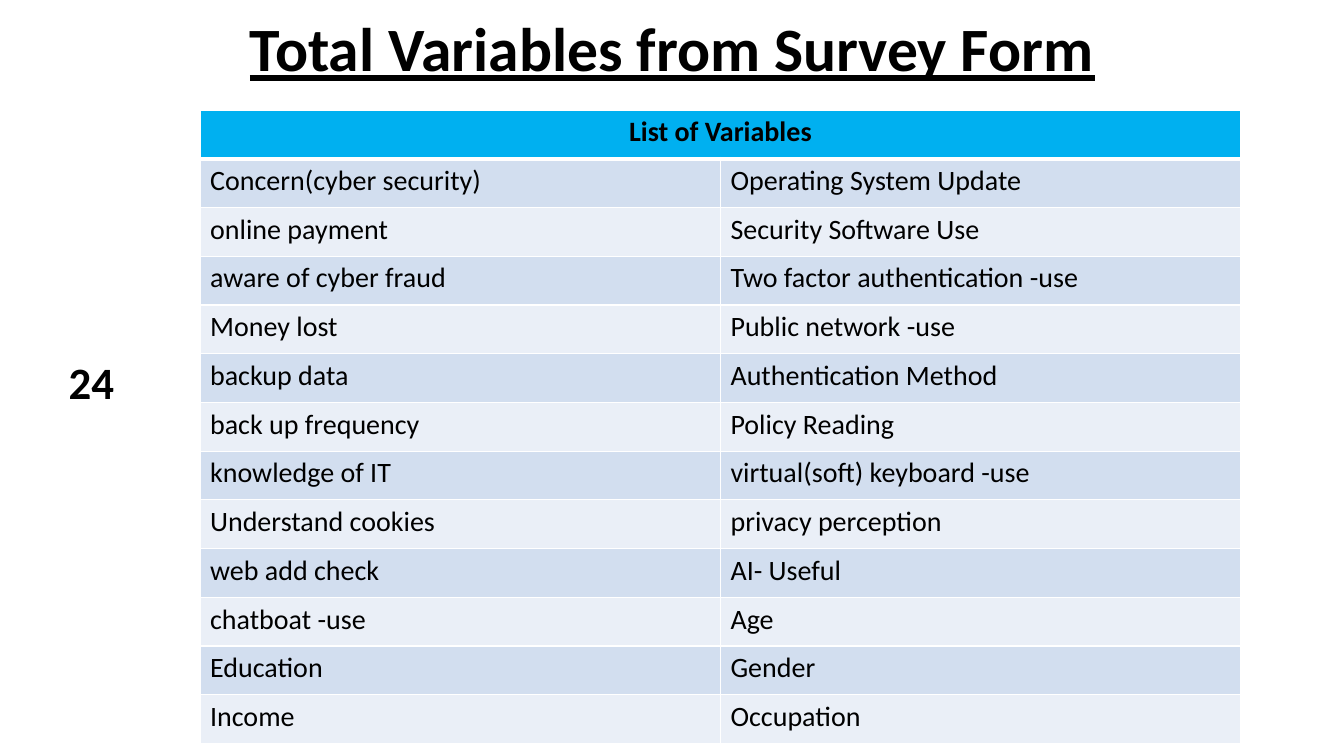
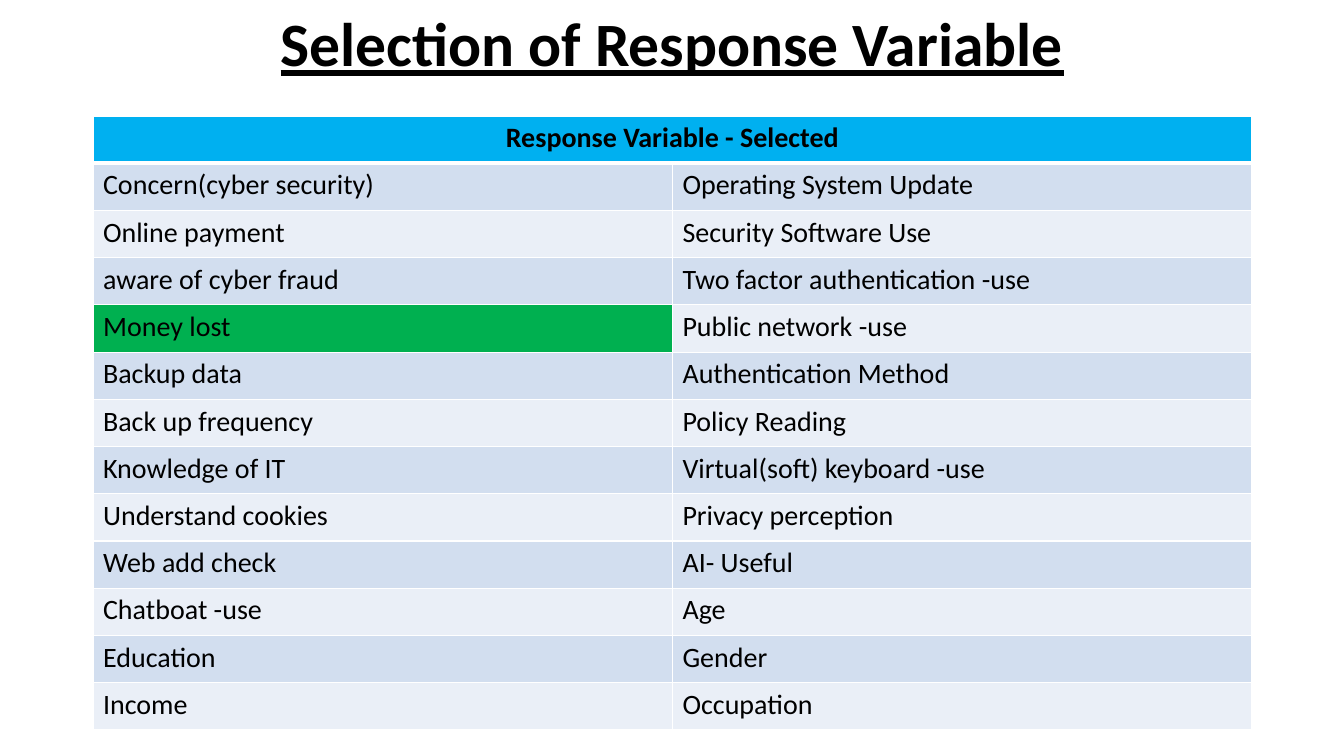
from lxml import etree
from pptx import Presentation
from pptx.dml.color import RGBColor
from pptx.enum.text import MSO_ANCHOR, MSO_AUTO_SIZE, PP_ALIGN
from pptx.oxml.ns import qn
from pptx.util import Emu, Pt

CENTER, LEFT = PP_ALIGN.CENTER, PP_ALIGN.LEFT
MIDDLE = MSO_ANCHOR.MIDDLE
NO_FIT = MSO_AUTO_SIZE.NONE

PX = 914400 / 100.8  # EMU in one px
SLIDE_W, SLIDE_H = 1344, 756
TITLE_ONLY = 5
FONT = "Calibri"
COLORS = {
    "text": "000000",
    "header": "00B0F0",
    "band_dark": "D2DEEF",
    "band_light": "EAEFF7",
    "selected": "00B050",
    "border": "FFFFFF",
}

VARIABLES = [
    ("Concern(cyber security)", "Operating System Update"),
    ("online payment", "Security Software Use"),
    ("aware of cyber fraud", "Two factor authentication -use"),
    ("Money lost", "Public network -use"),
    ("backup data", "Authentication Method"),
    ("back up frequency", "Policy Reading"),
    ("knowledge of IT", "virtual(soft) keyboard -use"),
    ("Understand cookies", "privacy perception"),
    ("web add check", "AI- Useful"),
    ("chatboat -use", "Age"),
    ("Education", "Gender"),
    ("Income", "Occupation"),
]
KEEP_LOWER = {"aware of cyber fraud"}


def px(n):
    return Emu(round(n * PX))


def rgb(name):
    return RGBColor.from_string(COLORS[name])


def capitalize(name):
    return name if name in KEEP_LOWER else name[0].upper() + name[1:]


def put_text(tf, text, size=20, bold=False, underline=None, align=LEFT,
             spacing=None):
    p = tf.paragraphs[0]
    p.alignment = align
    p.line_spacing = spacing
    r = p.add_run()
    r.text = text
    r.font.name = FONT
    r.font.size = Pt(size)
    r.font.bold = bold
    r.font.underline = underline
    r.font.color.rgb = rgb("text")


def set_borders(cell, top=1, bottom=1):
    # Border lines stand before the fill in the cell properties
    tc_pr = cell._tc.get_or_add_tcPr()
    widths = {"a:lnL": 1, "a:lnR": 1, "a:lnT": top, "a:lnB": bottom}
    for i, (tag, width) in enumerate(widths.items()):
        ln = etree.Element(qn(tag), w=str(Pt(width)))
        fill = etree.SubElement(ln, qn("a:solidFill"))
        etree.SubElement(fill, qn("a:srgbClr"), val=COLORS["border"])
        tc_pr.insert(i, ln)


def add_title(s, text, height):
    title = s.shapes.title
    title.left, title.top = px(93), px(0)
    title.width, title.height = px(1159), px(height)
    tf = title.text_frame
    tf.auto_size = NO_FIT
    tf.vertical_anchor = MIDDLE
    put_text(tf, text, size=44, bold=True, underline=True, align=CENTER,
             spacing=0.9)


def add_variable_table(s, box, header, pairs, selected=None):
    x, y, w, h = box
    rows = [(header, ""), *pairs]
    table = s.shapes.add_table(len(rows), 2, px(x), px(y), px(w), px(h)).table
    for col in table.columns:
        col.width = px(w / 2)
    table.cell(0, 0).merge(table.cell(0, 1))

    for i, names in enumerate(rows):
        table.rows[i].height = px(h / len(rows))
        is_header = i == 0
        band = "header" if is_header else "band_dark" if i % 2 else "band_light"
        for j, name in enumerate(names):
            cell = table.cell(i, j)
            cell.fill.solid()
            cell.fill.fore_color.rgb = rgb("selected" if name == selected else band)
            # A thick rule parts the header from the list
            set_borders(cell, top=3 if i == 1 else 1, bottom=3 if is_header else 1)
            if name:
                put_text(cell.text_frame, name, bold=is_header,
                         align=CENTER if is_header else LEFT)


def add_count(s, box, text):
    tf = s.shapes.add_textbox(*map(px, box)).text_frame
    tf.word_wrap = True
    put_text(tf, text, size=32, bold=True, align=CENTER)


def total_slide(prs):
    s = prs.slides.add_slide(prs.slide_layouts[TITLE_ONLY])
    add_title(s, "Total Variables from Survey Form", 103)
    add_variable_table(s, (200, 110, 1041, 634), "List of Variables", VARIABLES)
    add_count(s, (39, 350, 105, 64), str(2 * len(VARIABLES)))


def response_slide(prs):
    s = prs.slides.add_slide(prs.slide_layouts[TITLE_ONLY])
    add_title(s, "Selection of Response Variable", 94)
    pairs = [tuple(map(capitalize, pair)) for pair in VARIABLES]
    add_variable_table(s, (93, 116, 1159, 614), "Response Variable - Selected",
                       pairs, selected="Money lost")


def main():
    prs = Presentation()
    prs.slide_width, prs.slide_height = px(SLIDE_W), px(SLIDE_H)
    total_slide(prs)
    response_slide(prs)
    prs.save("out.pptx")


if __name__ == "__main__":
    main()
